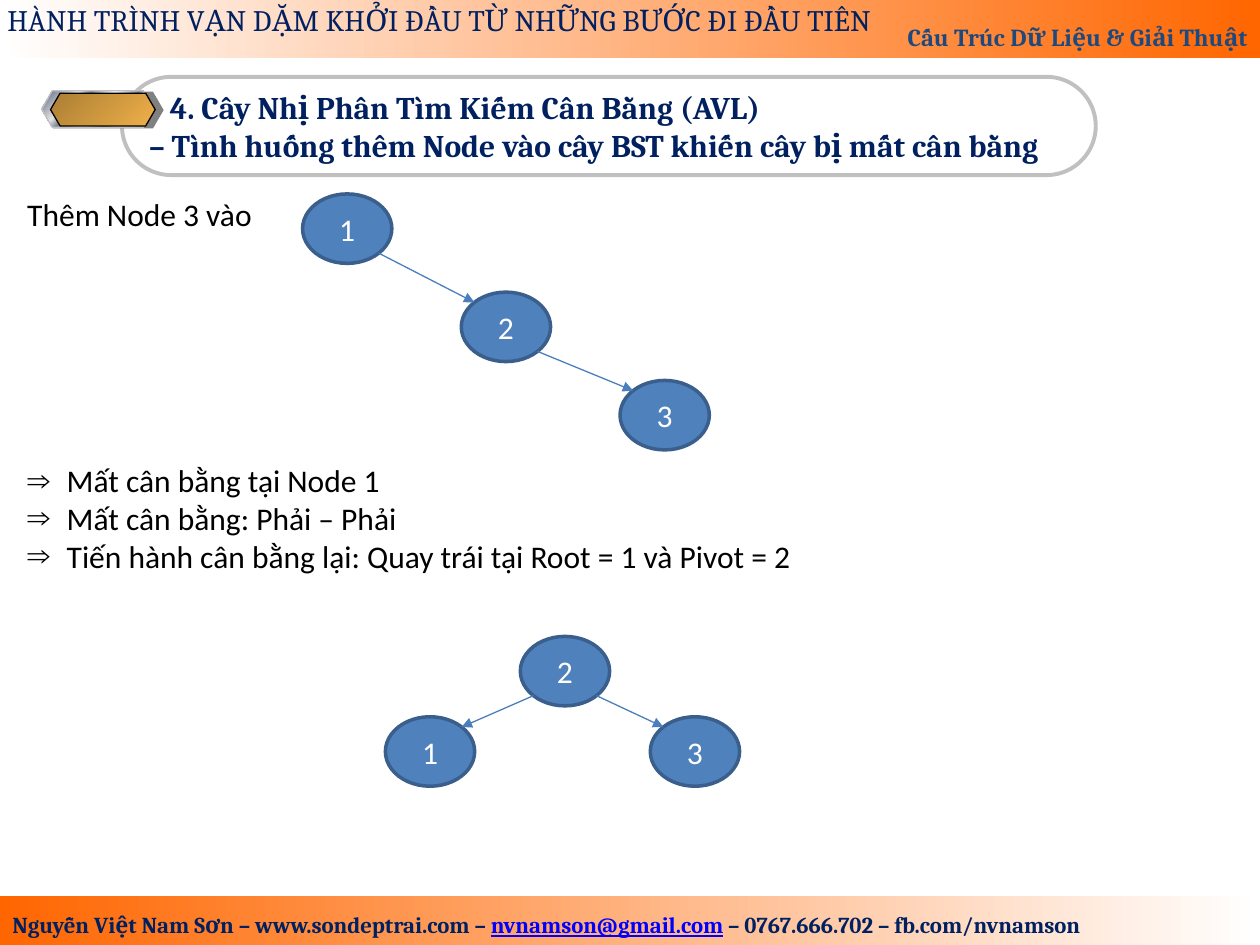
import dataclasses
import math

import pptx
import pptx.dml.color
import pptx.enum.shapes
import pptx.enum.text
import pptx.util
from pptx.oxml.ns import qn
from pptx.oxml.xmlchemy import OxmlElement

Cm = pptx.util.Cm
Pt = pptx.util.Pt
Shape = pptx.enum.shapes.MSO_SHAPE
Anchor = pptx.enum.text.MSO_ANCHOR
Align = pptx.enum.text.PP_ALIGN

NAVY, ORANGE, WHITE, BLACK, SILVER = "002060", "FF6600", "FFFFFF", "000000", "C0C0C0"
NODE_WIDTH, NODE_HEIGHT = 1.8, 1.4
STEEL = [(0, "E6E6E6"), (7, "7D8496"), (26, "E6E6E6"), (34, "7D8496"), (46, "E6E6E6"),
         (50, WHITE), (54, "E6E6E6"), (66, "7D8496"), (74, "E6E6E6"), (93, "7D8496"),
         (100, "E6E6E6")]


@dataclasses.dataclass
class Node:
    label: str
    left: float
    top: float

    def corner(self, across: int, down: int) -> tuple[float, float]:
        """Diagonal point on the outline; across and down are -1 or 1."""
        reach = math.sqrt(0.5) / 2
        return (self.left + NODE_WIDTH * (0.5 + across * reach),
                self.top + NODE_HEIGHT * (0.5 + down * reach))


def color(value: str):
    return pptx.dml.color.RGBColor.from_string(value)


def place(box, left: float, top: float, width: float, height: float) -> None:
    box.left, box.top, box.width, box.height = Cm(left), Cm(top), Cm(width), Cm(height)


def style_font(font, size: float, name: str, fill: str, bold: bool = False) -> None:
    font.size, font.name, font.bold = Pt(size), name, bold
    font.color.rgb = color(fill)


def write(box, text: str, size: float, name: str, fill: str, bold: bool = False,
          align=Align.LEFT, anchor=Anchor.TOP, wrap: bool = True) -> None:
    frame = box.text_frame
    frame.text = text
    frame.word_wrap = wrap
    frame.auto_size = pptx.enum.text.MSO_AUTO_SIZE.NONE
    frame.vertical_anchor = anchor
    for para in frame.paragraphs:
        para.alignment = align
        para.space_before = Pt(0)
        for span in para.runs:
            style_font(span.font, size, name, fill, bold)


def add_text(page, bounds: tuple, text: str, *style, **options):
    box = page.shapes.add_textbox(*map(Cm, bounds))
    write(box, text, *style, **options)
    return box


def set_gradient(shape, stops: list[tuple[int, str]], angle: int) -> None:
    shape.fill.gradient()
    gradient = shape._element.spPr.find(qn("a:gradFill"))
    stop_list = gradient.find(qn("a:gsLst"))
    for stop in list(stop_list):
        stop_list.remove(stop)
    for percent, value in stops:
        stop = OxmlElement("a:gs")
        stop.set("pos", str(percent * 1000))
        tint = OxmlElement("a:srgbClr")
        tint.set("val", value)
        stop.append(tint)
        stop_list.append(stop)
    gradient.find(qn("a:lin")).set("ang", str(angle * 60000))


def add_shape(page, kind, bounds: tuple, fill=None, line: str = "", weight: float = 0.75,
              angle: int = 0):
    """Fill is a hex string, a list of gradient stops, or None."""
    shape = page.shapes.add_shape(kind, *map(Cm, bounds))
    shape.shadow.inherit = False
    if isinstance(fill, list):
        set_gradient(shape, fill, angle)
    elif fill:
        shape.fill.solid()
        shape.fill.fore_color.rgb = color(fill)
    else:
        shape.fill.background()
    if line:
        shape.line.color.rgb = color(line)
        shape.line.width = Pt(weight)
    else:
        shape.line.fill.background()
    return shape


def add_arrow(page, start: tuple, end: tuple) -> None:
    arrow = page.shapes.add_connector(pptx.enum.shapes.MSO_CONNECTOR.STRAIGHT,
                                      *map(Cm, start + end))
    arrow.line.color.rgb = color("4B7EBC")
    arrow.line.width = Pt(0.75)
    tip = OxmlElement("a:tailEnd")
    tip.set("type", "triangle")
    arrow.line._get_or_add_ln().append(tip)
    arrow._element.spPr.append(OxmlElement("a:effectLst"))


def add_tree(page, nodes: list[Node], edges: list[tuple[int, int]]) -> None:
    for node in nodes:
        oval = add_shape(page, Shape.OVAL, (node.left, node.top, NODE_WIDTH, NODE_HEIGHT),
                         "4F81BD", "3A5F8C", 2)
        write(oval, node.label, 18, "Calibri", WHITE, align=Align.CENTER, anchor=Anchor.MIDDLE)
    for parent, child in edges:
        side = 1 if nodes[child].left > nodes[parent].left else -1
        add_arrow(page, nodes[parent].corner(side, 1), nodes[child].corner(-side, -1))


def add_bands(page) -> None:
    add_shape(page, Shape.RECTANGLE, (0, 18.06, 25.4, 0.99), [(0, ORANGE), (100, WHITE)])
    header = add_shape(page, Shape.RECTANGLE, (0, 0, 25.4, 1.17), [(0, WHITE), (100, ORANGE)])
    write(header, "Cấu Trúc Dữ Liệu & Giải Thuật", 14, "Cambria", "1F497D", bold=True,
          align=Align.RIGHT, anchor=Anchor.BOTTOM)
    header.text_frame.paragraphs[0].line_spacing = 1.8

    contact = add_text(page, (0, 18.24, 22.96, 0.81),
                       "Nguyễn Việt Nam Sơn – www.sondeptrai.com – ",
                       13, "Cambria", NAVY, bold=True, wrap=False)
    para = contact.text_frame.paragraphs[0]
    for text, fill, underline in [("nvnamson@gmail.com", "0000FF", True),
                                  (" – 0767.666.702 – fb.com/nvnamson", NAVY, False)]:
        span = para.add_run()
        span.text = text
        style_font(span.font, 13, "Cambria", fill, bold=True)
        span.font.underline = underline

    add_text(page, (-0.1, -0.08, 18.85, 0.99),
             "HÀNH TRÌNH VẠN DẶM KHỞI ĐẦU TỪ NHỮNG BƯỚC ĐI ĐẦU TIÊN", 17, "Cambria", NAVY)


def add_title(page) -> None:
    frame = add_shape(page, Shape.ROUNDED_RECTANGLE, (2.46, 1.55, 19.63, 1.98),
                      line=SILVER, weight=2.25)
    frame.adjustments[0] = 0.5
    for bounds, fill, line in [
        ((0.86, 1.85, 2.44, 0.74), "808080", ""),
        ((0.84, 1.83, 2.26, 0.74), STEEL, SILVER),
        ((1.02, 1.88, 2.11, 0.66), [(0, "AB7E34"), (100, "EFB049")], BLACK),
    ]:
        badge = add_shape(page, Shape.HEXAGON, bounds, fill, line, angle=45)
        badge.adjustments[0] = 0.29

    title = page.shapes.title
    place(title, 2.75, 1.55, 19, 1.98)
    write(title, "4. Cây Nhị Phân Tìm Kiếm Cân Bằng (AVL)\n"
          "– Tình huống thêm Node vào cây BST khiến cây bị mất cân bằng",
          18, "Cambria", NAVY, bold=True, anchor=Anchor.MIDDLE)
    first = title.text_frame.paragraphs[0]._p.get_or_add_pPr()
    first.set("indent", str(Cm(0.42)))


def add_conclusions(page) -> None:
    body = page.placeholders[1]
    place(body, 0.3, 9.17, 16.1, 2.57)
    write(body, "Mất cân bằng tại Node 1\nMất cân bằng: Phải – Phải\n"
          "Tiến hành cân bằng lại: Quay trái tại Root = 1 và Pivot = 2",
          18, "Calibri", BLACK, wrap=False)
    for para in body.text_frame.paragraphs:
        properties = para._p.get_or_add_pPr()
        properties.set("marL", str(Cm(0.79)))
        properties.set("indent", str(-Cm(0.79)))
        bullet = OxmlElement("a:buChar")
        bullet.set("char", "⇒")
        properties.append(bullet)


def main() -> None:
    deck = pptx.Presentation()
    deck.slide_width, deck.slide_height = Cm(25.4), Cm(19.05)
    page = deck.slides.add_slide(deck.slide_layouts[1])
    add_bands(page)
    add_title(page)
    add_text(page, (0.3, 3.81, 5.11, 1.02), "Thêm Node 3 vào", 18, "Calibri", BLACK, wrap=False)
    add_tree(page, [Node("1", 6.1, 3.91), Node("2", 9.3, 5.89), Node("3", 12.5, 7.67)],
             [(0, 1), (1, 2)])
    add_conclusions(page)
    add_tree(page, [Node("1", 7.77, 14.45), Node("2", 10.49, 12.83), Node("3", 13.11, 14.45)],
             [(1, 0), (1, 2)])
    deck.save("out.pptx")


if __name__ == "__main__":
    main()
